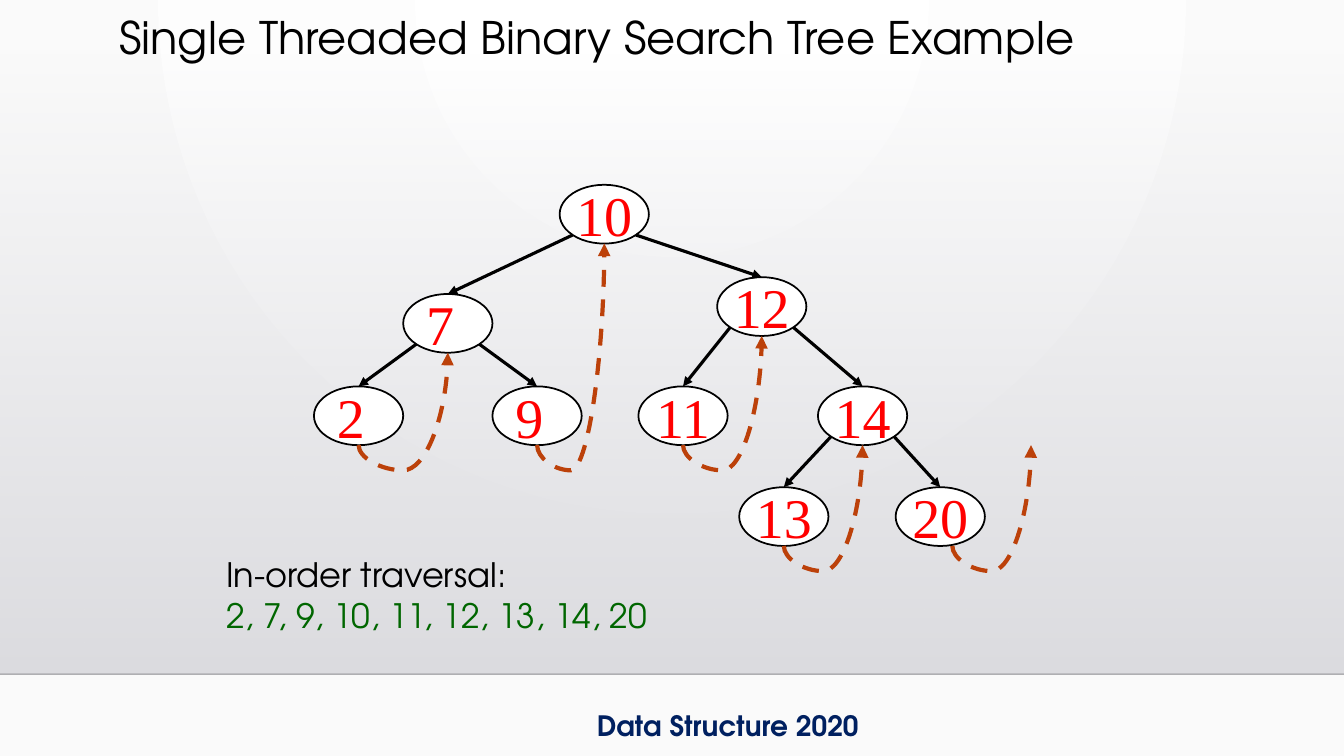
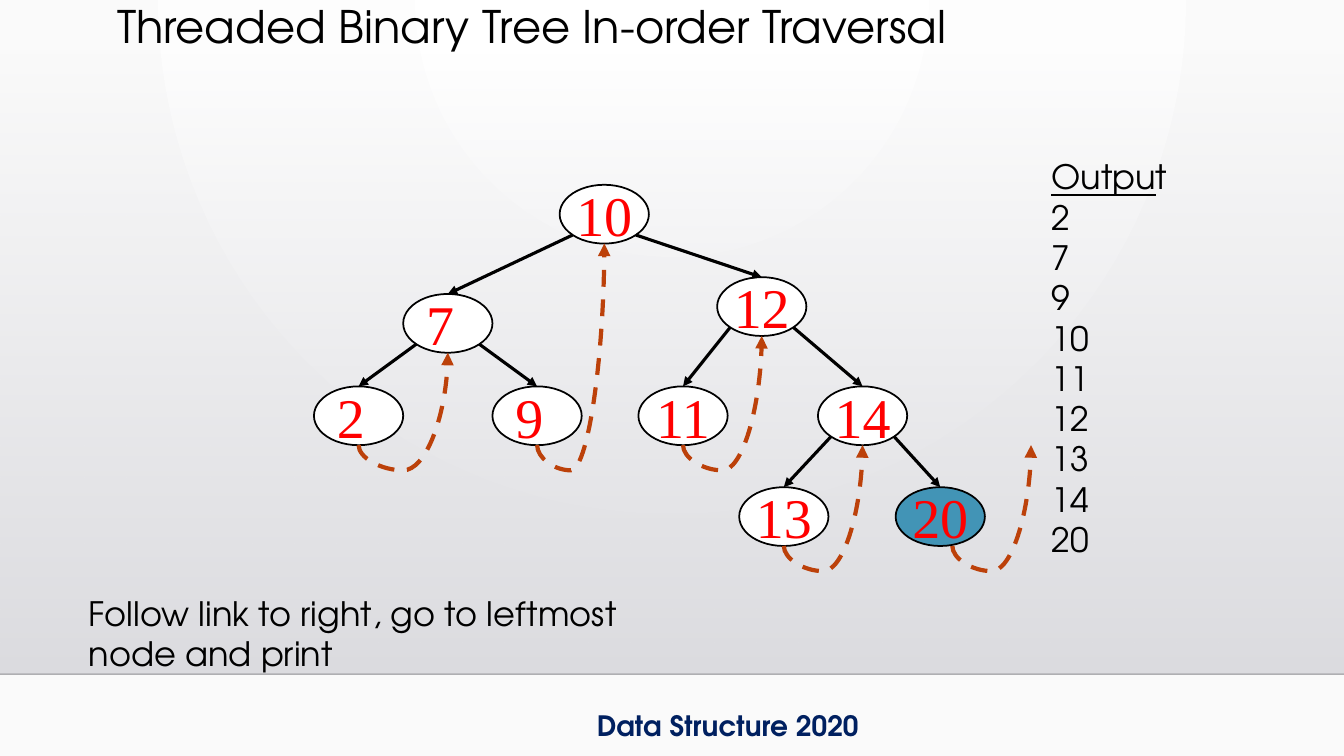
import math

from lxml import etree
from pptx import Presentation
from pptx.dml.color import RGBColor
from pptx.enum.dml import MSO_LINE
from pptx.enum.shapes import MSO_CONNECTOR, MSO_SHAPE
from pptx.enum.text import MSO_ANCHOR, MSO_AUTO_SIZE, PP_ALIGN
from pptx.oxml.ns import qn
from pptx.util import Emu, Pt

ELLIPSE, RECTANGLE = MSO_SHAPE.OVAL, MSO_SHAPE.RECTANGLE
STRAIGHT, CURVE = MSO_CONNECTOR.STRAIGHT, MSO_CONNECTOR.CURVE
DASH = MSO_LINE.DASH
LEFT, CENTER = PP_ALIGN.LEFT, PP_ALIGN.CENTER
TOP, MIDDLE = MSO_ANCHOR.TOP, MSO_ANCHOR.MIDDLE
NO_FIT, FIT_SHAPE = MSO_AUTO_SIZE.NONE, MSO_AUTO_SIZE.SHAPE_TO_FIT_TEXT

SCALE = 9525
SLIDE_W, SLIDE_H = 1280, 720
BAND_TOP, BAND_BOTTOM = 49, 642
BODY_FONT, NODE_FONT = "TeX Gyre Adventor", "Times New Roman"
COLORS = {
    "glow": "FFFFFF",
    "edge_of_glow": "FAFAFA",
    "band_top": "DCDCE0",
    "band_bottom": "DEDEE2",
    "rule": "000001",
    "footer": "002060",
    "text": "000000",
    "order": "006600",
    "node": "FFFFFF",
    "visited": "4294B6",
    "key": "FF0000",
    "thread": "BC410A",
}

TREE_BOX = (299, 176)
NODE_W, NODE_H = 85, 56
THREAD_DROP = 24
NODES = {
    10: (234, 0),
    7: (85, 104), 12: (384, 88),
    2: (0, 192), 9: (170, 192), 11: (309, 192), 14: (480, 192),
    13: (405, 288), 20: (554, 288),
}
CHILDREN = {10: (7, 12), 7: (2, 9), 12: (11, 14), 14: (13, 20)}
THREADS = {2: 7, 9: 10, 11: 12, 13: 14}
OPEN_THREAD = ((608, 344), (683, 248))


def px(length):
    return Emu(round(length * SCALE))


def rgb(name):
    return RGBColor.from_string(COLORS[name])


def add_child(parent, tag, **attributes):
    return etree.SubElement(parent, qn(tag), attributes)


def set_alpha(element, *percents):
    for color, percent in zip(element.iter(qn("a:srgbClr")), percents):
        add_child(color, "a:alpha", val=str(percent * 1000))


def set_gradient(fill, *names):
    fill.gradient()
    for stop, name in zip(fill.gradient_stops, names):
        stop.color.rgb = rgb(name)


def add_run(paragraph, text, size, color="text", font=BODY_FONT, bold=False, underline=False):
    run = paragraph.add_run()
    run.text = text
    run.font.name = font
    run.font.size = Pt(size)
    run.font.bold = bold
    run.font.underline = underline
    run.font.color.rgb = rgb(color)


def add_text(slide, box, lines, size=24, wrap=True):
    frame = slide.shapes.add_textbox(*map(px, box)).text_frame
    frame.word_wrap = wrap
    frame.auto_size = FIT_SHAPE
    for index, runs in enumerate(lines):
        paragraph = frame.add_paragraph() if index else frame.paragraphs[0]
        for text, style in runs:
            add_run(paragraph, text, size, **style)
    return frame


def add_line(slide, kind, start, end, color, width):
    line = slide.shapes.add_connector(kind, *map(px, (*start, *end)))
    line.line.color.rgb = rgb(color)
    line.line.width = Pt(width)
    add_child(line.element.spPr, "a:effectLst")
    return line


def add_arrowhead(line):
    add_child(line.element.spPr.find(qn("a:ln")), "a:tailEnd", type="triangle")


def set_backdrop(layout):
    set_gradient(layout.background.fill, "glow", "edge_of_glow")
    linear = next(layout.element.iter(qn("a:lin")))
    gradient = linear.getparent()
    gradient.remove(linear)
    circle = add_child(gradient, "a:path", path="circle")
    add_child(circle, "a:fillToRect", l="43000", t="0", r="43000", b="100000")


def add_frame(slide):
    layout = slide.slide_layout
    for placeholder in list(layout.placeholders)[1:]:
        placeholder.element.getparent().remove(placeholder.element)
    set_backdrop(layout)

    band = slide.shapes.add_shape(
        RECTANGLE, *map(px, (0, BAND_TOP, SLIDE_W, BAND_BOTTOM - BAND_TOP)))
    band.shadow.inherit = False
    band.line.fill.background()
    set_gradient(band.fill, "band_top", "band_bottom")
    band.fill.gradient_angle = 270
    set_alpha(band.element.spPr, 0, 100)

    rule = add_line(slide, STRAIGHT, (0, BAND_BOTTOM), (SLIDE_W, BAND_BOTTOM), "rule", 1)
    set_alpha(rule.element.spPr, 20)

    add_text(slide, (559, 670, 272, 42),
             [[("Data Structure 2020", {"color": "footer", "bold": True})]], 20, wrap=False)
    for part in list(slide.shapes)[1:]:
        layout.shapes.element.append(part.element)


def set_title(slide, left, top, text):
    title = slide.shapes.title
    title.left, title.top, title.width, title.height = map(px, (left, top, 1008, 110))
    frame = title.text_frame
    frame.auto_size = NO_FIT
    frame.vertical_anchor = TOP
    paragraph = frame.paragraphs[0]
    paragraph.alignment = LEFT
    paragraph.line_spacing = 0.9
    add_run(paragraph, text, 32)


def add_node(slide, left, top, key, fill):
    node = slide.shapes.add_shape(ELLIPSE, *map(px, (left, top, NODE_W, NODE_H)))
    node.shadow.inherit = False
    node.fill.solid()
    node.fill.fore_color.rgb = rgb(fill)
    node.line.color.rgb = rgb("text")
    node.line.width = Pt(1.25)
    frame = node.text_frame
    frame.word_wrap = False
    frame.vertical_anchor = MIDDLE
    paragraph = frame.paragraphs[0]
    paragraph.alignment = CENTER if key > 9 else LEFT
    add_run(paragraph, str(key), 40, "key", NODE_FONT)
    return node


def add_thread(slide, start, end):
    (x1, y1), (x2, y2) = start, end
    center_x, center_y = (x1 + x2) / 2, (y1 + y2) / 2
    half_run, half_rise = (x2 - x1) / 2, (y1 - y2) / 2
    thread = add_line(slide, CURVE,
                      (center_x + half_rise, center_y + half_run),
                      (center_x - half_rise, center_y - half_run), "thread", 3)
    thread.line.dash_style = DASH
    add_arrowhead(thread)
    properties = thread.element.spPr
    properties.find(qn("a:xfrm")).set("rot", str(90 * 60000))
    bend = round(-THREAD_DROP / (y1 - y2) * 100000)
    adjustments = next(properties.iter(qn("a:avLst")))
    add_child(adjustments, "a:gd", name="adj1", fmla=f"val {bend}")


def add_tree(slide, box, visited=None):
    left, top = box
    places = {key: (left + x, top + y) for key, (x, y) in NODES.items()}
    nodes = {key: add_node(slide, *place, key, "visited" if key == visited else "node")
             for key, place in places.items()}

    def bottom(key):
        x, y = places[key]
        return x + NODE_W / 2, y + NODE_H

    reach = math.sqrt(0.5) / 2
    for parent, children in CHILDREN.items():
        x, y = places[parent]
        for side, child in zip((-1, 1), children):
            start = (x + NODE_W * (0.5 + side * reach), y + NODE_H * (0.5 + reach))
            link = add_line(slide, STRAIGHT, start, places[child], "text", 2.25)
            link.end_connect(nodes[child], 0)
            add_arrowhead(link)

    for source, target in THREADS.items():
        add_thread(slide, bottom(source), bottom(target))
    add_thread(slide, *[(left + x, top + y) for x, y in OPEN_THREAD])


def build_example(slide):
    set_title(slide, 104, 10, "Single Threaded Binary Search Tree Example")
    add_tree(slide, TREE_BOX)
    order = ", ".join(map(str, sorted(NODES)))
    add_text(slide, (206, 523, 456, 87),
             [[("In-order traversal:", {})], [(order, {"color": "order"})]])


def build_traversal(slide):
    set_title(slide, 102, 0, "Threaded Binary Tree In-order Traversal")
    add_text(slide, (75, 560, 597, 87),
             [[("Follow link to right, go to leftmost node and print", {})]])
    heading = [("Outpu", {"underline": True}), ("t", {})]
    add_text(slide, (992, 144, 171, 397),
             [heading] + [[(str(key), {})] for key in sorted(NODES)])
    add_tree(slide, TREE_BOX, visited=20)


def main():
    deck = Presentation()
    deck.slide_width, deck.slide_height = px(SLIDE_W), px(SLIDE_H)
    title_only = deck.slide_layouts[5]
    example, traversal = [deck.slides.add_slide(title_only) for _ in range(2)]
    add_frame(example)
    build_example(example)
    build_traversal(traversal)
    deck.save("out.pptx")


if __name__ == "__main__":
    main()
